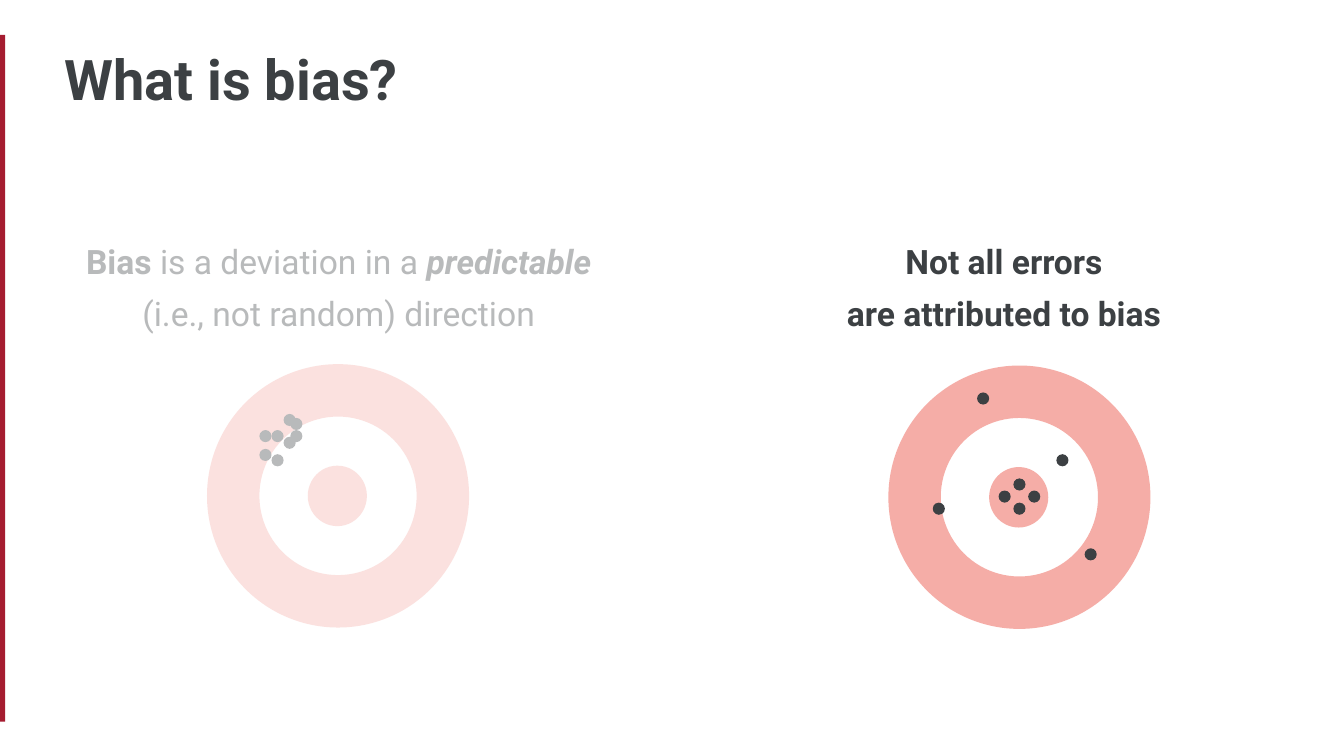
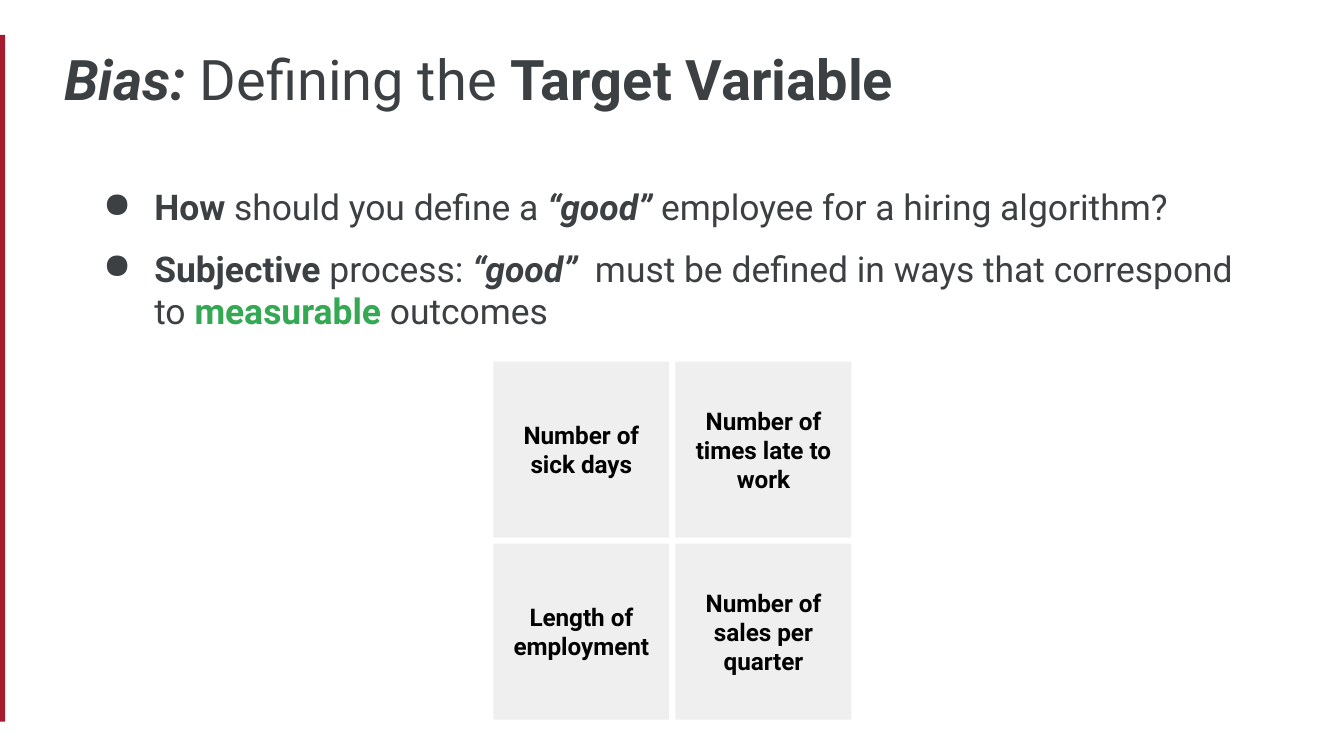
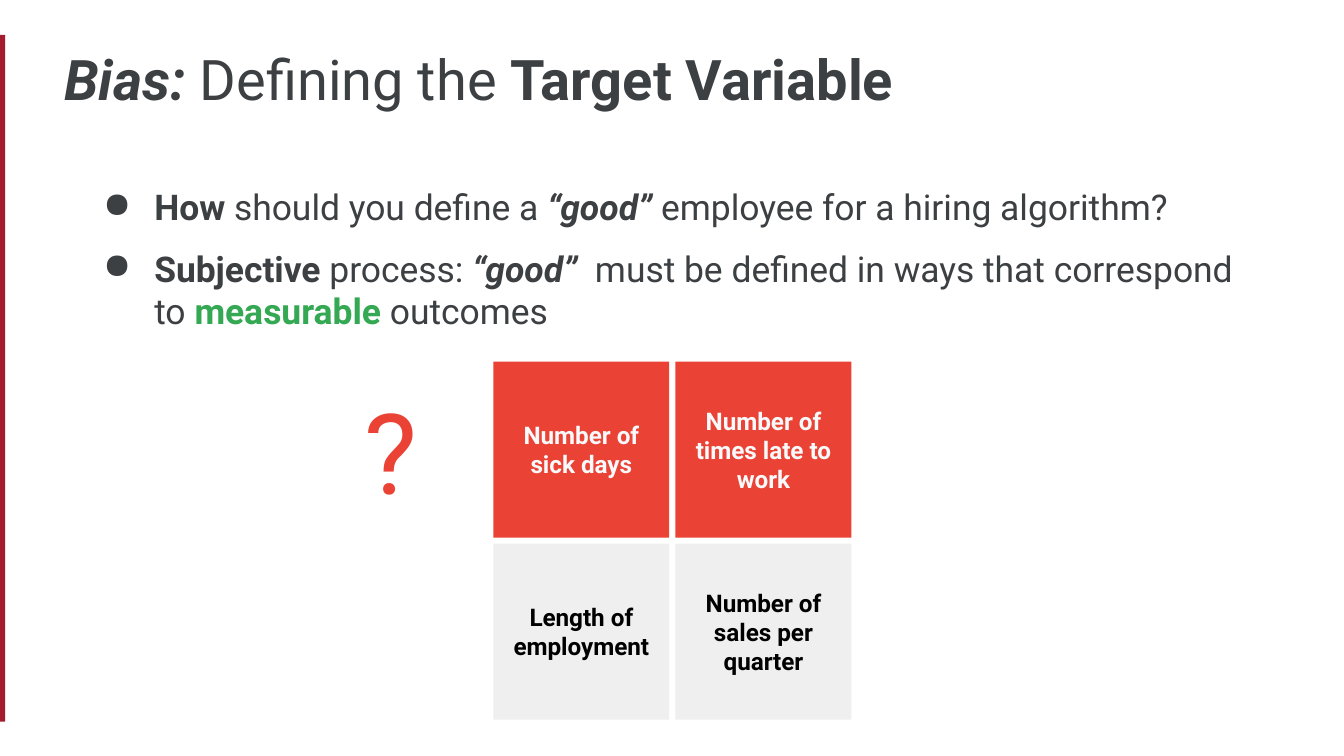
"""Build three slides that explain bias and the choice of a target variable."""
from lxml import etree
from pptx import Presentation
from pptx.dml.color import RGBColor
from pptx.enum.shapes import MSO_SHAPE
from pptx.enum.text import MSO_ANCHOR, PP_ALIGN
from pptx.oxml.ns import qn
from pptx.util import Inches, Pt

RECTANGLE, DONUT = MSO_SHAPE.RECTANGLE, MSO_SHAPE.DONUT
DISC = MSO_SHAPE.FLOWCHART_CONNECTOR
LEFT, CENTER = PP_ALIGN.LEFT, PP_ALIGN.CENTER
TOP, MIDDLE = MSO_ANCHOR.TOP, MSO_ANCHOR.MIDDLE

CRIMSON = RGBColor(0xA5, 0x1C, 0x30)
INK = RGBColor(0x3C, 0x40, 0x43)
RED = RGBColor(0xEA, 0x43, 0x35)
GREEN = RGBColor(0x34, 0xA8, 0x53)
GREY = RGBColor(0xEF, 0xEF, 0xEF)
PALE = RGBColor(0xF8, 0xF9, 0xFA)
BLACK = RGBColor(0, 0, 0)
WHITE = RGBColor(0xFF, 0xFF, 0xFF)

WIDTH, HEIGHT = Inches(10), Inches(5.625)
UNIT = WIDTH / 100

PLAIN = {"bold": False, "italic": False}
BOLD = {"bold": True, "italic": False}
STRESS = {"bold": True, "italic": True}
HIGHLIGHT = {"bold": True, "italic": False, "color": GREEN}

BAR_BOX = (-0.2, 2.6, 0.6, 51.1)
TITLE_BOX = (3.8, 2.9, 85.3, 6)
TITLE_FORMAT = {"size": 30, "line_spacing": 0.9}
STATEMENT_FORMAT = {"size": 18, "align": CENTER, "line_spacing": 1.3}
RING_WIDTH, RING_HEIGHT, DOT = 19.5, 19.6, 0.9
TILE, TILE_STEP, TILE_LEFT, TILE_TOP = 13.1, 13.55, 36.7, 26.9


def add_shape(slide, kind, box, color, opacity=100):
    """Add a flat filled shape placed in grid units."""
    shape = slide.shapes.add_shape(kind, *(round(value * UNIT) for value in box))
    shape.shadow.inherit = False
    shape.line.fill.background()
    shape.fill.solid()
    shape.fill.fore_color.rgb = color
    if opacity < 100:
        color_element = shape.fill._xPr.find(".//" + qn("a:srgbClr"))
        etree.SubElement(color_element, qn("a:alpha"), val=str(opacity * 1000))
    return shape


def add_text(slide, box, paragraphs, size, color=INK, align=LEFT, anchor=TOP,
             line_spacing=None, bullet=None, shape=None):
    """Write paragraphs of (text, style) runs in a shape or a new text box."""
    if shape is None:
        shape = slide.shapes.add_textbox(*(round(value * UNIT) for value in box))
    frame = shape.text_frame
    frame_format = {"word_wrap": True, "vertical_anchor": anchor}
    for side in ("left", "right", "top", "bottom"):
        frame_format["margin_" + side] = Inches(0.1)
    for name, value in frame_format.items():
        setattr(frame, name, value)
    for index, runs in enumerate(paragraphs):
        paragraph = frame.add_paragraph() if index else frame.paragraphs[0]
        paragraph.alignment = align
        if line_spacing:
            paragraph.line_spacing = line_spacing
        if bullet:
            if index:
                paragraph.space_before = Pt(10)
            properties = paragraph._p.get_or_add_pPr()
            properties.set("marL", str(Inches(0.5)))
            properties.set("indent", str(Inches(-0.38)))
            bullet_color = etree.SubElement(properties, qn("a:buClr"))
            etree.SubElement(bullet_color, qn("a:srgbClr"), val=str(color))
            etree.SubElement(properties, qn("a:buChar"), char=bullet)
        for text, style in runs:
            run = paragraph.add_run()
            run.text = text
            font_format = {"name": "Roboto", "size": Pt(size),
                           "bold": style["bold"], "italic": style["italic"]}
            for name, value in font_format.items():
                setattr(run.font, name, value)
            run.font.color.rgb = style.get("color", color)


presentation = Presentation()
presentation.slide_width, presentation.slide_height = WIDTH, HEIGHT

target_title = [("Bias:", STRESS), (" Defining the ", PLAIN), ("Target Variable", BOLD)]
slides = []
for title in ([("What is bias?", BOLD)], target_title, target_title):
    slide = presentation.slides.add_slide(presentation.slide_layouts[6])
    add_shape(slide, RECTANGLE, BAR_BOX, CRIMSON)
    add_text(slide, TITLE_BOX, [title], **TITLE_FORMAT)
    slides.append(slide)
bias_slide, *target_slides = slides

statements = [
    (3.8, [[("Bias", BOLD), (" is a deviation in a ", PLAIN), ("predictable", STRESS),
            (" (i.e., not random) direction", PLAIN)]]),
    (53.3, [[("Not all errors", BOLD)], [("are attributed to bias", BOLD)]]),
]
for left, paragraphs in statements:
    add_text(bias_slide, (left, 16, 42.8, 9.1), paragraphs, **STATEMENT_FORMAT)

targets = [
    (15.4, 27.1, [(4.8, 4.9), (6.2, 4.9), (4.8, 6.7), (6.2, 4),
                  (5.7, 5.4), (3.9, 6.3), (5.7, 3.7), (3.9, 4.9)]),
    (66.1, 27.2, [(8.2, 9.3), (9.3, 8.4), (9.3, 10.2), (3.3, 10.2),
                  (10.4, 9.3), (12.5, 6.6), (6.6, 2), (14.6, 13.6)]),
]
for left, top, hits in targets:
    ring = add_shape(bias_slide, DONUT, (left, top, RING_WIDTH, RING_HEIGHT), RED, 43)
    ring.adjustments[0] = 0.2
    add_shape(bias_slide, DISC, (left + 7.5, top + 7.55, 4.4, 4.5), RED, 43)
    for across, down in hits:
        add_shape(bias_slide, DISC, (left + across, top + down, DOT, DOT), INK)
add_shape(bias_slide, RECTANGLE, (3.4, 11.9, 46, 41.1), WHITE, 64)

questions = [
    [("How", BOLD), (" should you define a ", PLAIN), ("“good”", STRESS),
     (" employee for a hiring algorithm?", PLAIN)],
    [("Subjective", BOLD), (" process: ", PLAIN), ("“good” ", STRESS),
     (" must be defined in ways that correspond to ", PLAIN),
     ("measurable", HIGHLIGHT), (" outcomes", PLAIN)],
]
measures = [
    ["Number of sick days", "Number of times late to work"],
    ["Length of employment", "Number of sales per quarter"],
]
row_colors = [[(GREY, BLACK), (GREY, BLACK)], [(RED, PALE), (GREY, BLACK)]]
for slide, colors in zip(target_slides, row_colors):
    add_text(slide, (5.5, 12.8, 88.4, 12.6), questions, 19, bullet="●")
    for row, (labels, (fill, ink)) in enumerate(zip(measures, colors)):
        for column, label in enumerate(labels):
            box = (TILE_LEFT + column * TILE_STEP, TILE_TOP + row * TILE_STEP, TILE, TILE)
            tile = add_shape(slide, RECTANGLE, box, fill)
            add_text(slide, box, [[(label, BOLD)]], 13, ink, CENTER, MIDDLE, shape=tile)
add_text(target_slides[1], (23.6, 27.8, 11, 11.3), [[("?", PLAIN)]], 60, RED, CENTER, MIDDLE)

presentation.save("out.pptx")
